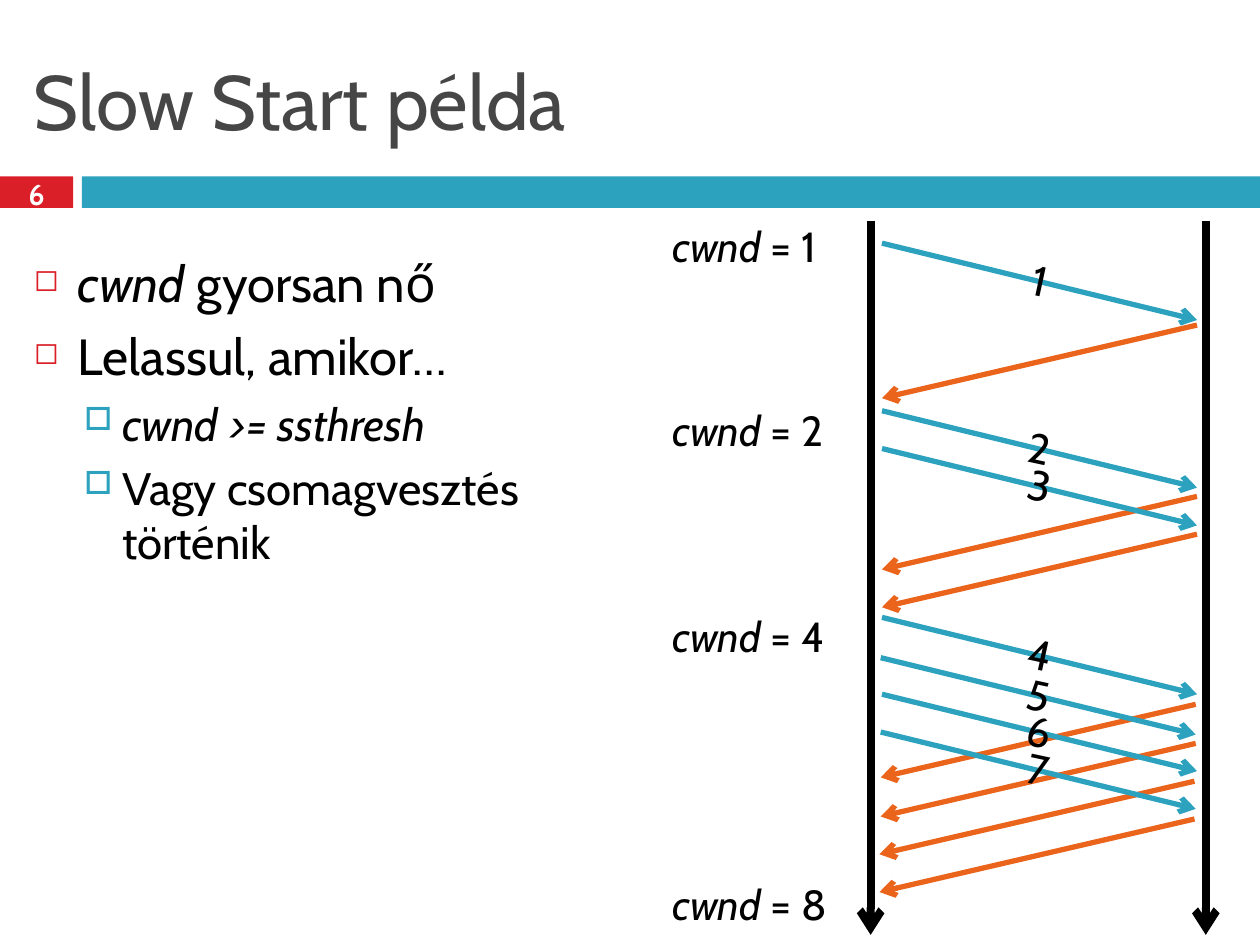
from lxml import etree
from pptx import Presentation
from pptx.dml.color import RGBColor
from pptx.enum.shapes import MSO_CONNECTOR, MSO_SHAPE
from pptx.enum.text import MSO_ANCHOR, PP_ALIGN
from pptx.oxml.ns import qn
from pptx.util import Inches, Pt

LINE = MSO_CONNECTOR.STRAIGHT
RECT = MSO_SHAPE.RECTANGLE
TOP, MID = MSO_ANCHOR.TOP, MSO_ANCHOR.MIDDLE
LEFT, MIDDLE = PP_ALIGN.LEFT, PP_ALIGN.CENTER
BLUE, RED, ORANGE = "2DA2BF", "DA1F28", "EB641B"
BLACK, WHITE, GREY = "000000", "FFFFFF", "464646"


def color(code):
    return RGBColor.from_string(code)


def add(parent, tag, **attrs):
    node = etree.SubElement(parent, qn(tag))
    for name, value in attrs.items():
        node.set(name, value)
    return node


class Deck:
    font = "Cabin"

    def __init__(self):
        self.file = Presentation()
        self.file.slide_width = Inches(10)
        self.file.slide_height = Inches(7.5)
        self.slide = self.file.slides.add_slide(self.file.slide_layouts[6])

    def bar(self, x, y, w, h, fill):
        shape = self.slide.shapes.add_shape(
            RECT, Inches(x), Inches(y), Inches(w), Inches(h))
        shape.shadow.inherit = False
        shape.fill.solid()
        shape.fill.fore_color.rgb = color(fill)
        shape.line.fill.background()

    def arrow(self, x1, y1, x2, y2, tint, width=3):
        shape = self.slide.shapes.add_connector(
            LINE, Inches(x1), Inches(y1), Inches(x2), Inches(y2))
        shape.line.color.rgb = color(tint)
        shape.line.width = Pt(width)
        props = shape.element.spPr
        add(props.find(qn("a:ln")), "a:tailEnd", type="arrow")
        add(props, "a:effectLst")

    def box(self, x, y, w, h, anchor=TOP):
        shape = self.slide.shapes.add_textbox(
            Inches(x), Inches(y), Inches(w), Inches(h))
        shape.text_frame.word_wrap = True
        shape.text_frame.vertical_anchor = anchor
        return shape

    def put(self, para, runs, size, tint=BLACK, bold=False, align=LEFT):
        para.alignment = align
        font = para.font
        font.name, font.size, font.bold = self.font, Pt(size), bold
        font.color.rgb = color(tint)
        for text, slant in runs:
            run = para.add_run()
            run.text = text
            if slant:
                run.font.italic = True

    def label(self, x, y, w, h, runs, size, tint=BLACK, bold=False,
              align=LEFT, anchor=TOP, turn=0):
        shape = self.box(x, y, w, h, anchor)
        shape.rotation = turn
        self.put(shape.text_frame.paragraphs[0], runs, size, tint, bold, align)

    def bullets(self, x, y, w, h, items):
        frame = self.box(x, y, w, h).text_frame
        styles = [(29, 7, 0.35, 0.35, "◻", RED, 60),
                  (26, 5.5, 0.7, 0.3, "□", BLUE, 70)]
        for index, (level, runs) in enumerate(items):
            para = frame.add_paragraph() if index else frame.paragraphs[0]
            size, gap, left, hang, mark, tint, scale = styles[level]
            para.level = level
            para.space_before = Pt(gap)
            props = para._p.get_or_add_pPr()
            props.set("marL", str(Inches(left)))
            props.set("indent", str(-Inches(hang)))
            add(add(props, "a:buClr"), "a:srgbClr", val=tint)
            add(props, "a:buSzPct", val=str(scale * 1000))
            add(props, "a:buChar", char=mark)
            self.put(para, runs, size)


def main():
    deck = Deck()
    deck.bar(0, 1.4, 0.58, 0.25, RED)
    deck.bar(0.65, 1.4, 9.35, 0.25, BLUE)
    deck.label(0.17, 0.25, 9.67, 1.08, [("Slow Start példa", False)], 44,
               GREY, anchor=MID)
    deck.label(0, 1.37, 0.58, 0.33, [("6", False)], 16.6, WHITE, True,
               MIDDLE, MID)

    acks = [(7, 2.58), (7, 3.94), (7, 4.24), (6.99, 5.59), (6.99, 5.9),
            (6.98, 6.2), (6.98, 6.5)]
    for x, y in acks:
        deck.arrow(x + 2.5, y, x, y + 0.58, ORANGE)
    for x in (6.91, 9.57):
        deck.arrow(x, 1.75, x, 7.42, BLACK, 4.5)

    sends = [(7, 1.93), (7, 3.26), (7, 3.56), (7, 4.9), (6.99, 5.22),
             (7, 5.51), (6.99, 5.81)]
    for number, (x, y) in enumerate(sends, 1):
        deck.arrow(x, y, x + 2.5, y + 0.61, BLUE)
        deck.label(x + 0.7, y + 0.04, 1.11, 0.5, [(str(number), False)], 24,
                   align=MIDDLE, turn=12.3)

    for step, y in enumerate((1.7, 3.16, 4.8, 6.92)):
        deck.label(5.24, y, 1.56, 0.5,
                   [("cwnd", True), (f" = {2 ** step}", False)], 24)

    deck.bullets(0.17, 1.95, 4.62, 5.38, [
        (0, [("cwnd ", True), ("gyorsan nő", False)]),
        (0, [("Lelassul, amikor…", False)]),
        (1, [("cwnd >= ssthresh", True)]),
        (1, [("Vagy csomagvesztés történik", False)]),
    ])
    deck.file.save("out.pptx")


if __name__ == "__main__":
    main()
